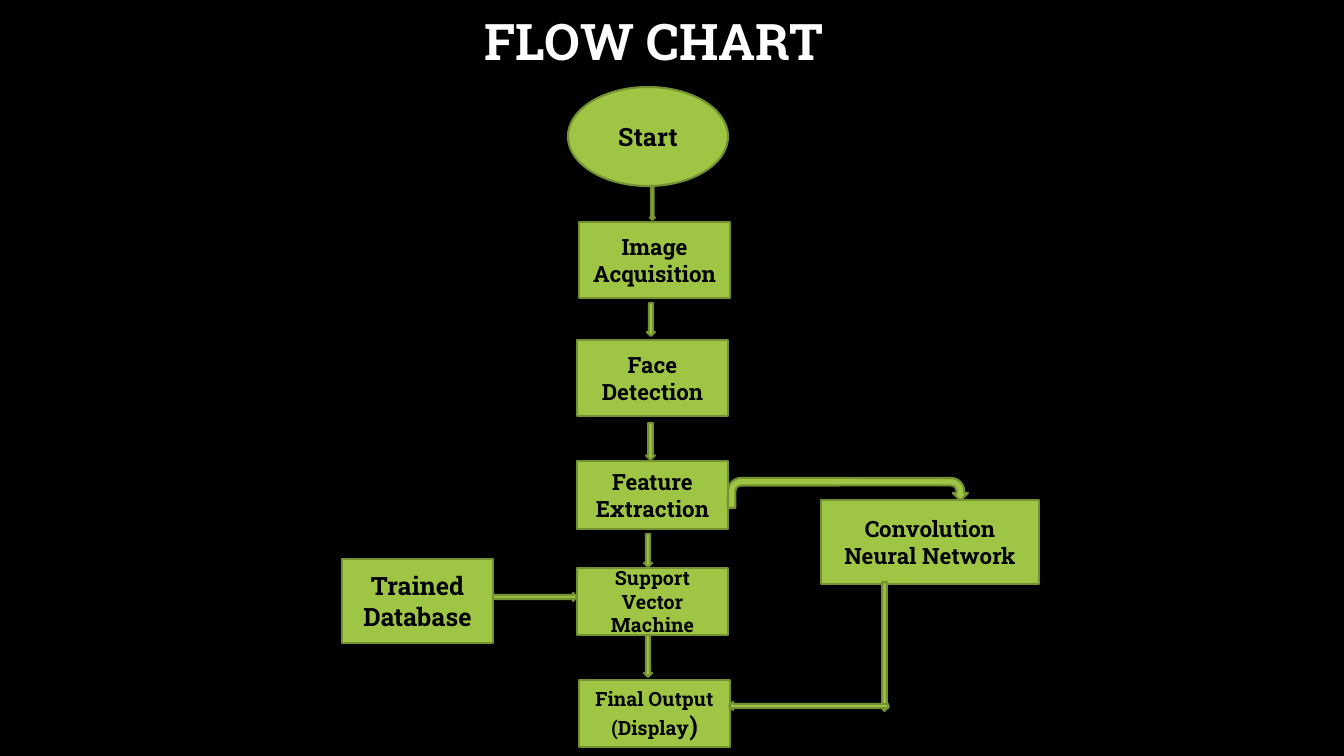
from dataclasses import dataclass

from pptx import Presentation
from pptx.dml.color import RGBColor
from pptx.enum.shapes import MSO_SHAPE
from pptx.enum.text import MSO_ANCHOR, MSO_AUTO_SIZE, PP_ALIGN
from pptx.util import Emu, Pt

EMU_PER_PX = 914400 / 100.8


def px(length):
    return Emu(round(length * EMU_PER_PX))


@dataclass(frozen=True)
class Theme:
    font: str = "Roboto Slab"
    background: RGBColor = RGBColor(0, 0, 0)
    title: RGBColor = RGBColor(255, 255, 255)
    label: RGBColor = RGBColor(0, 0, 0)
    fill: RGBColor = RGBColor.from_string("9EC544")
    outline: RGBColor = RGBColor.from_string("759232")
    outline_width: float = 1.5
    title_size: int = 36
    large: int = 18
    medium: int = 16
    small: int = 14


class FlowChart:
    def __init__(self, slide, theme):
        self.slide = slide
        self.theme = theme
        slide.background.fill.solid()
        slide.background.fill.fore_color.rgb = theme.background

    def add_words(self, paragraph, text, size, color):
        run = paragraph.add_run()
        run.text = text
        run.font.color.rgb = color
        style = {"name": self.theme.font, "size": Pt(size), "bold": True}
        for attribute, value in style.items():
            setattr(run.font, attribute, value)

    def title(self, text, left, top, width, height):
        heading = self.slide.shapes.title
        place = {"left": left, "top": top, "width": width, "height": height}
        for attribute, value in place.items():
            setattr(heading, attribute, px(value))
        frame = heading.text_frame
        frame.auto_size = MSO_AUTO_SIZE.NONE
        frame.vertical_anchor = MSO_ANCHOR.BOTTOM
        paragraph = frame.paragraphs[0]
        paragraph.alignment = PP_ALIGN.CENTER
        paragraph.line_spacing = 0.9
        self.add_words(paragraph, text, self.theme.title_size, self.theme.title)

    def shape(self, kind, *box):
        """Add a preset shape in the chart's green style."""
        shape = self.slide.shapes.add_shape(kind, *map(px, box))
        shape.shadow.inherit = False
        shape.fill.solid()
        shape.fill.fore_color.rgb = self.theme.fill
        shape.line.color.rgb = self.theme.outline
        shape.line.width = Pt(self.theme.outline_width)
        return shape

    def step(self, lines, box, kind=MSO_SHAPE.RECTANGLE):
        """Add a labelled step; each line is a list of (text, size) runs."""
        frame = self.shape(kind, *box).text_frame
        frame.word_wrap = True
        frame.vertical_anchor = MSO_ANCHOR.MIDDLE
        for index, runs in enumerate(lines):
            paragraph = frame.add_paragraph() if index else frame.paragraphs[0]
            paragraph.alignment = PP_ALIGN.CENTER
            for text, size in runs:
                self.add_words(paragraph, text, size, self.theme.label)


def main():
    deck = Presentation()
    deck.slide_width, deck.slide_height = px(1344), px(756)
    slide = deck.slides.add_slide(deck.slide_layouts[0])
    subtitle = slide.placeholders[1].element
    subtitle.getparent().remove(subtitle)

    theme = Theme()
    chart = FlowChart(slide, theme)
    chart.title("FLOW CHART", 158, 2, 992, 75)

    chart.step([[("Start", theme.large)]], (568, 87, 160, 99), MSO_SHAPE.OVAL)
    steps = [
        ([[("Image", theme.medium)], [("Acquisition", theme.medium)]],
         (579, 222, 151, 76)),
        ([[("Face Detection", theme.medium)]], (577, 340, 151, 76)),
        ([[("Feature Extraction", theme.medium)]], (577, 461, 151, 68)),
        ([[("Support Vector Machine", theme.small)]], (577, 568, 151, 67)),
        ([[("Trained Database", theme.large)]], (342, 559, 151, 84)),
        ([[("Convolution Neural Network", theme.medium)]], (821, 500, 218, 84)),
        ([[("Final Output", theme.small)],
          [("(Display", theme.small), (")", theme.large)]],
         (579, 680, 151, 67)),
    ]
    for lines, box in steps:
        chart.step(lines, box)

    arrows = {
        MSO_SHAPE.DOWN_ARROW: [
            (650, 187, 5, 33), (647, 303, 8, 33), (646, 423, 9, 37),
            (644, 534, 8, 33), (644, 635, 8, 42), (880, 582, 9, 129),
        ],
        MSO_SHAPE.LEFT_ARROW: [(729, 702, 159, 8)],
        MSO_SHAPE.RIGHT_ARROW: [(493, 593, 84, 8)],
        MSO_SHAPE.U_TURN_ARROW: [(728, 478, 240, 30)],
    }
    for kind, boxes in arrows.items():
        for box in boxes:
            chart.shape(kind, *box)

    deck.save("out.pptx")


if __name__ == "__main__":
    main()
